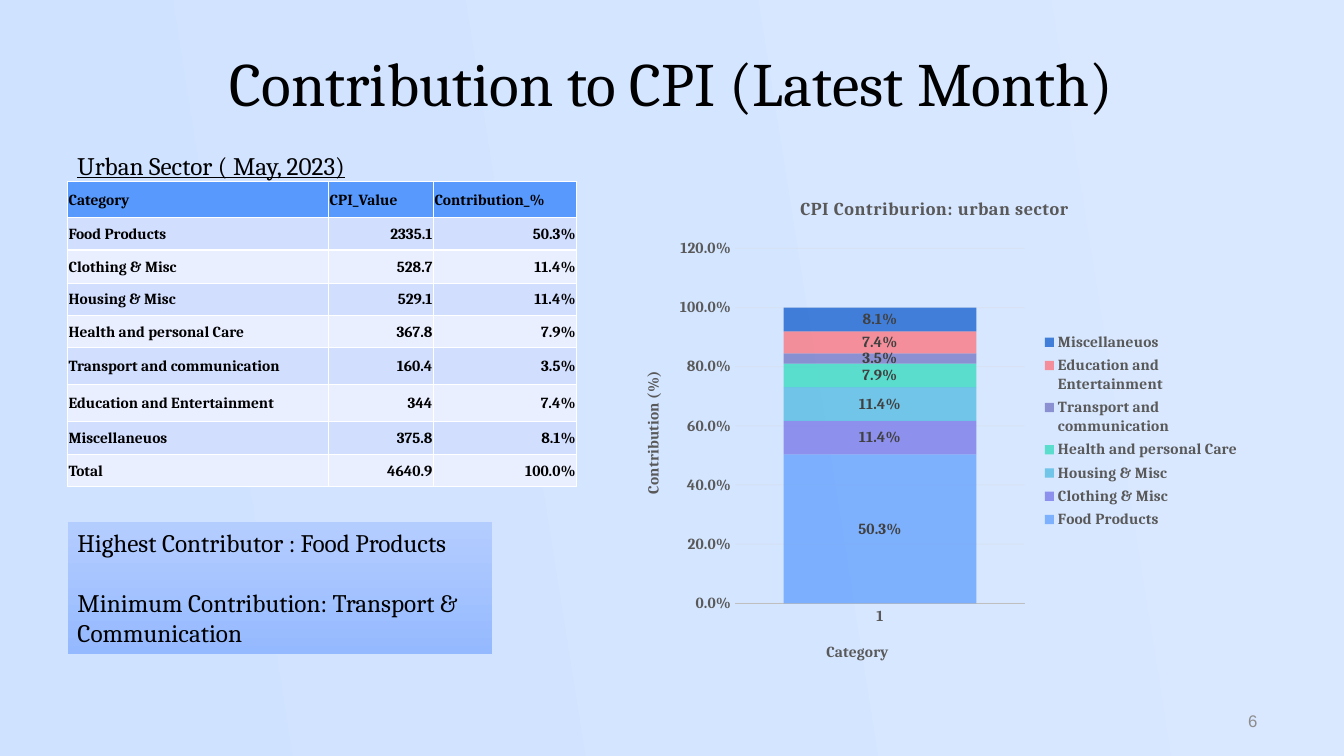
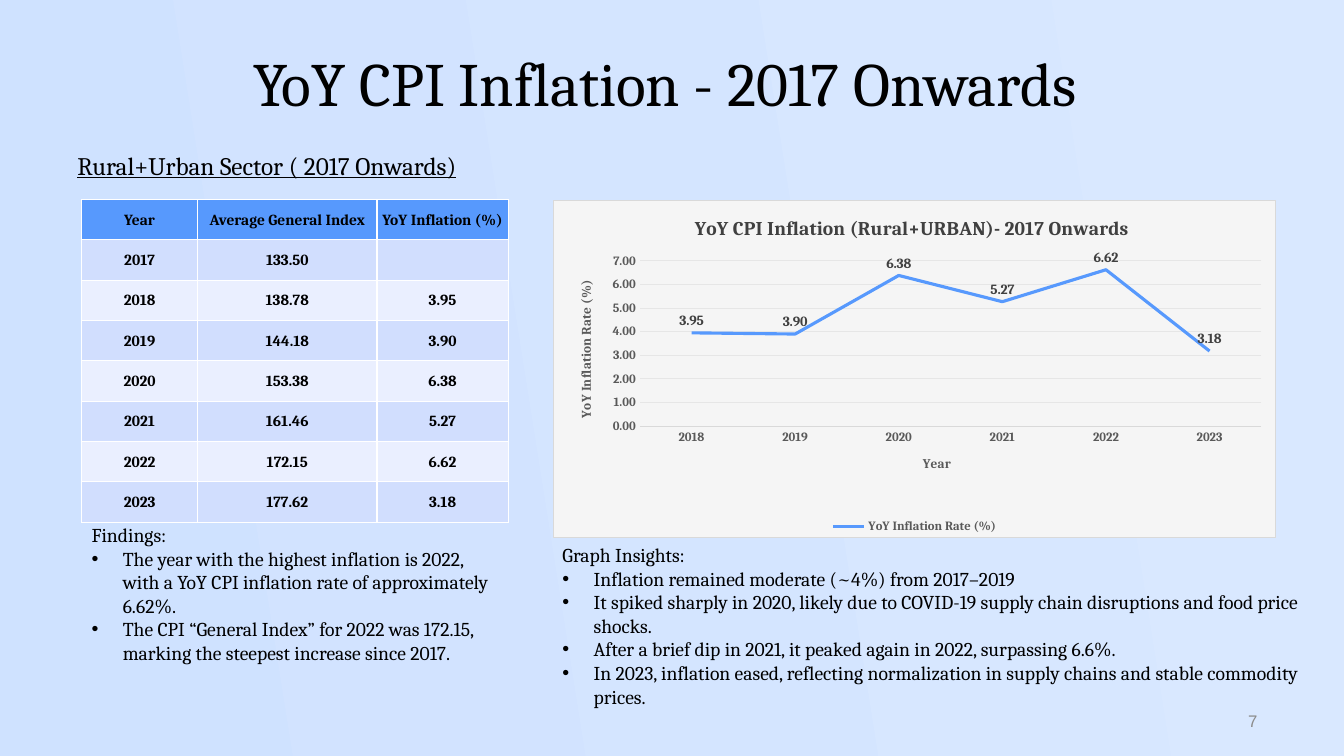
from lxml import etree
from pptx import Presentation
from pptx import util as u
from pptx.chart import data as chart_data
from pptx.dml.color import RGBColor
from pptx.enum import chart as charts, shapes, text
from pptx.oxml import parse_xml
from pptx.oxml.ns import nsdecls, qn

SERIF, SANS = "Cambria", "Arial"
BLACK, WHITE, BLUE = "000000", "FFFFFF", "5799FD"
AXIS_GREY, LABEL_GREY, NUMBER_GREY = "595959", "404040", "8C8C8C"
BANDS = ("D1DEFE", "EAEFFF")
PAGE, PAGE_EDGE = "CFE2FF", "D9E8FF"
LEFT, CENTER, RIGHT = text.PP_ALIGN.LEFT, text.PP_ALIGN.CENTER, text.PP_ALIGN.RIGHT


def color(value):
    return RGBColor.from_string(value)


def place(box):
    return [u.Inches(length) for length in box]


def set_font(font, size, hex_color=BLACK, bold=False, name=SERIF):
    font.name, font.size, font.bold = name, u.Pt(size), bold
    font.color.rgb = color(hex_color)


def set_gradient(fill, start, end, angle):
    fill.gradient()
    fill.gradient_angle = angle
    for stop, value in zip(fill.gradient_stops, (start, end)):
        stop.color.rgb = color(value)


def set_alpha(element, percent):
    for rgb in element.iter(qn("a:srgbClr")):
        etree.SubElement(rgb, qn("a:alpha")).set("val", str(percent * 1000))


# Text
def add_bullet(paragraph):
    properties = paragraph._p.get_or_add_pPr()
    properties.set("marL", str(u.Inches(0.31)))
    properties.set("indent", str(u.Inches(-0.31)))
    etree.SubElement(properties, qn("a:buFont")).set("typeface", SANS)
    etree.SubElement(properties, qn("a:buChar")).set("char", "•")


def fill_frame(frame, lines, size, hex_color=BLACK, name=SERIF, align=LEFT,
               bullets=False, gap=0):
    frame.word_wrap = True
    for index, line in enumerate(lines):
        paragraph = frame.paragraphs[0] if index == 0 else frame.add_paragraph()
        paragraph.text = line
        paragraph.alignment = align
        if index and gap:
            paragraph.space_before = u.Pt(gap)
        if index and bullets:
            add_bullet(paragraph)
        set_font(paragraph.font, size, hex_color, name=name)


def add_text(slide, box, lines, size, **options):
    frame = slide.shapes.add_textbox(*place(box)).text_frame
    fill_frame(frame, lines, size, **options)
    return frame


def add_callout(slide, box, lines):
    shape = slide.shapes.add_shape(shapes.MSO_SHAPE.RECTANGLE, *place(box))
    shape.shadow.inherit = False
    set_gradient(shape.fill, "B4CDFF", "95B9FF", 270)
    shape.line.fill.background()
    shape.text_frame.vertical_anchor = text.MSO_ANCHOR.TOP
    fill_frame(shape.text_frame, lines, 18, gap=21.5)


# Parts every slide has: title, underlined heading, slide number
def add_frame(presentation, title, heading, number):
    slide = presentation.slides.add_slide(presentation.slide_layouts[6])
    frame = add_text(slide, (0.76, 0.39, 11.81, 0.79), [title], 44, align=CENTER)
    frame.vertical_anchor = text.MSO_ANCHOR.BOTTOM
    frame.margin_left = frame.margin_right = frame.margin_top = frame.margin_bottom = 0
    frame = add_text(slide, (0.67, 1.44, 4.21, 0.4), [heading], 18)
    frame.paragraphs[0].font.underline = True
    frame = add_text(slide, (9.57, 6.95, 3, 0.4), [str(number)], 12,
                     hex_color=NUMBER_GREY, name=SANS, align=RIGHT)
    frame.vertical_anchor = text.MSO_ANCHOR.MIDDLE
    return slide


# Table: the first row is the header, the rest are banded
def add_table(slide, left, top, widths, heights, rows, header_align, body_aligns):
    box = (left, top, sum(widths), sum(heights))
    table = slide.shapes.add_table(len(rows), len(widths), *place(box)).table
    for column, width in zip(table.columns, widths):
        column.width = u.Inches(width)
    for row_index, (row, height) in enumerate(zip(rows, heights)):
        table.rows[row_index].height = u.Inches(height)
        for column_index, value in enumerate(row):
            cell = table.cell(row_index, column_index)
            cell.fill.solid()
            cell.fill.fore_color.rgb = color(BANDS[(row_index - 1) % 2] if row_index else BLUE)
            cell.vertical_anchor = text.MSO_ANCHOR.MIDDLE
            cell.margin_left = cell.margin_right = cell.margin_top = u.Inches(0.01)
            cell.margin_bottom = 0
            paragraph = cell.text_frame.paragraphs[0]
            paragraph.text = value
            paragraph.alignment = body_aligns[column_index] if row_index else header_align
            set_font(paragraph.font, 11, bold=True)


# Charts
def set_layout(element, inner=False, **fractions):
    layout = element.find(qn("c:layout"))
    if layout is None:
        layout = etree.Element(qn("c:layout"))
        overlay = element.find(qn("c:overlay"))
        if overlay is None:
            element.insert(0, layout)
        else:
            overlay.addprevious(layout)
    manual = etree.SubElement(layout, qn("c:manualLayout"))
    settings = {"layoutTarget": "inner"} if inner else {}
    settings.update(xMode="edge", yMode="edge", **fractions)
    for tag, value in settings.items():
        etree.SubElement(manual, qn("c:" + tag)).set("val", str(value))


def set_title(owner, title, size, hex_color=AXIS_GREY):
    frame = owner.text_frame
    frame.text = title
    set_font(frame.paragraphs[0].font, size, hex_color, True)
    return frame.paragraphs[0]


def set_chart_area(chart, fill="", border=""):
    def paint(value):
        return f'<a:solidFill><a:srgbClr val="{value}"/></a:solidFill>' if value else "<a:noFill/>"
    area = parse_xml(f'<c:spPr {nsdecls("c", "a")}>{paint(fill)}'
                     f'<a:ln w="9525">{paint(border)}</a:ln></c:spPr>')
    chart._chartSpace.find(qn("c:chart")).addnext(area)


def add_chart(slide, box, kind, categories, series, sizes, axis_titles, scale,
              number_format, line_colors, legend_position, label_position, plot_box):
    font_size, title_size, label_size = sizes
    source = chart_data.CategoryChartData(number_format=number_format)
    source.categories = categories
    for name, values in series:
        source.add_series(name, values)
    chart = slide.shapes.add_chart(kind, *place(box), source).chart
    set_font(chart.font, font_size, AXIS_GREY, True)
    plot = chart.plots[0]
    plot.vary_by_categories = False

    for axis, title in zip((chart.category_axis, chart.value_axis), axis_titles):
        axis.major_tick_mark = axis.minor_tick_mark = charts.XL_TICK_MARK.NONE
        set_font(axis.tick_labels.font, font_size, AXIS_GREY, True)
        set_title(axis.axis_title, title, title_size)
    axis_color, grid_color = line_colors
    category_line = chart.category_axis.format.line
    category_line.color.rgb, category_line.width = color(axis_color), u.Pt(0.75)
    value_axis = chart.value_axis
    value_axis.format.line.fill.background()
    value_axis.minimum_scale, value_axis.maximum_scale, value_axis.major_unit = scale
    value_axis.tick_labels.number_format = number_format
    value_axis.tick_labels.number_format_is_linked = False
    grid_line = value_axis.major_gridlines.format.line
    grid_line.color.rgb, grid_line.width = color(grid_color), u.Pt(0.75)

    plot.has_data_labels = True
    labels = plot.data_labels
    labels.show_value, labels.position = True, label_position
    labels.number_format, labels.number_format_is_linked = number_format, False
    set_font(labels.font, label_size, LABEL_GREY, True)
    chart.has_legend = True
    chart.legend.position = legend_position
    chart.legend.include_in_layout = False
    set_font(chart.legend.font, font_size, AXIS_GREY, True)
    plot_area = chart._chartSpace.find(".//" + qn("c:plotArea"))
    set_layout(plot_area, inner=True, **plot_box)
    return chart


def add_contribution_chart(slide, box, shares):
    chart = add_chart(
        slide, box, charts.XL_CHART_TYPE.COLUMN_STACKED, ["1"],
        [(name, [share]) for name, share in shares], (11, 11, 11),
        ("Category", "Contribution (%)"), (0, 1.2, 0.2), "0.0%", ("BFBFBF", "D9D9D9"),
        charts.XL_LEGEND_POSITION.RIGHT, charts.XL_LABEL_POSITION.CENTER,
        dict(x=0.18, y=0.14, w=0.46, h=0.71))
    set_chart_area(chart)
    title = set_title(chart.chart_title, "CPI Contriburion: urban sector ", 13)
    title.runs[0].font._element.set("spc", "50")
    plot = chart.plots[0]
    plot.gap_width, plot.overlap = 50, 100
    fills = (BLUE, "6F6CE6", "45B7DF", "26DAB8", "6A6CBE", "FF6970", "0252CA")
    for series, value in zip(plot.series, fills):
        series.format.fill.solid()
        series.format.fill.fore_color.rgb = color(value)
        set_alpha(series._element.find(qn("c:spPr")), 70)
    set_alpha(chart.value_axis._element.find(qn("c:majorGridlines")), 25)
    set_layout(chart.category_axis._element.find(qn("c:title")), x=0.32, y=0.92)
    set_layout(chart.legend._element, x=0.66, y=0.3, w=0.33, h=0.41)


def add_inflation_chart(slide, box, years, rates):
    name = "YoY Inflation Rate (%)"
    chart = add_chart(
        slide, box, charts.XL_CHART_TYPE.LINE, years, [(name, rates)], (9, 9.5, 10),
        ("Year", name), (0, 7, 1), "0.00", ("D9D9D9", "E6E6E6"),
        charts.XL_LEGEND_POSITION.BOTTOM, charts.XL_LABEL_POSITION.ABOVE,
        dict(x=0.12, y=0.18, w=0.86, h=0.49))
    set_chart_area(chart, "F5F5F5", "D9D9D9")
    set_title(chart.chart_title, "YoY CPI Inflation (Rural+URBAN)- 2017 Onwards ", 14, LABEL_GREY)
    series = chart.plots[0].series[0]
    series.smooth = False
    series.marker.style = charts.XL_MARKER_STYLE.NONE
    series.format.line.color.rgb, series.format.line.width = color(BLUE), u.Pt(2.25)


# Slides
def build_contribution_slide(presentation):
    slide = add_frame(presentation, "Contribution to CPI (Latest Month)",
                      "Urban Sector ( May, 2023)", 6)
    items = [("Food Products", "2335.1", 0.503), ("Clothing & Misc", "528.7", 0.114),
             ("Housing & Misc", "529.1", 0.114), ("Health and personal Care", "367.8", 0.079),
             ("Transport and communication", "160.4", 0.035),
             ("Education and Entertainment", "344", 0.074), ("Miscellaneuos", "375.8", 0.081)]
    rows = [("Category", "CPI_Value", "Contribution_%")]
    rows += [(name, value, f"{share:.1%}") for name, value, share in items]
    rows.append(("Total", "4640.9", "100.0%"))
    heights = (0.36, 0.32, 0.33, 0.32, 0.32, 0.37, 0.36, 0.33, 0.32)
    add_table(slide, 0.67, 1.8, (2.59, 1.04, 1.42), heights, rows, LEFT, (LEFT, RIGHT, RIGHT))
    add_callout(slide, (0.67, 5.18, 4.21, 1.31),
                ["Highest Contributor : Food Products",
                 "Minimum Contribution: Transport & Communication"])
    add_contribution_chart(slide, (6.17, 1.77, 6.24, 4.96),
                           [(name, share) for name, _, share in items])


def build_inflation_slide(presentation):
    slide = add_frame(presentation, "YoY CPI Inflation - 2017 Onwards ",
                      "Rural+Urban Sector ( 2017 Onwards)", 7)
    rows = [("Year", "Average General Index", "YoY Inflation (%)"),
            ("2017", "133.50", ""), ("2018", "138.78", "3.95"), ("2019", "144.18", "3.90"),
            ("2020", "153.38", "6.38"), ("2021", "161.46", "5.27"),
            ("2022", "172.15", "6.62"), ("2023", "177.62", "3.18")]
    add_table(slide, 0.81, 1.98, (1.15, 1.78, 1.3), [0.4] * len(rows), rows, CENTER, [CENTER] * 3)
    rated = rows[2:]
    add_inflation_chart(slide, (5.48, 1.98, 7.18, 3.36), [row[0] for row in rated],
                        [float(row[2]) for row in rated])
    add_text(slide, (0.81, 5.14, 4.23, 1.75), [
        "Findings:",
        "The year with the highest inflation is 2022, with a YoY CPI inflation rate of "
        "approximately 6.62%.",
        "The CPI “General Index” for 2022 was 172.15, marking the steepest increase since 2017.",
    ], 14, bullets=True)
    add_text(slide, (5.48, 5.34, 7.51, 1.74), [
        "Graph Insights:",
        "Inflation remained moderate (~4%) from 2017–2019",
        "It spiked sharply in 2020, likely due to COVID-19 supply chain disruptions and food "
        "price shocks.",
        "After a brief dip in 2021, it peaked again in 2022, surpassing 6.6%.",
        "In 2023, inflation eased, reflecting normalization in supply chains and stable "
        "commodity prices.",
    ], 14, bullets=True)


def main():
    presentation = Presentation()
    presentation.slide_width, presentation.slide_height = u.Inches(13.33), u.Inches(7.5)
    set_gradient(presentation.slide_master.background.fill, PAGE, PAGE_EDGE, 9)
    build_contribution_slide(presentation)
    build_inflation_slide(presentation)
    presentation.save("out.pptx")


if __name__ == "__main__":
    main()
